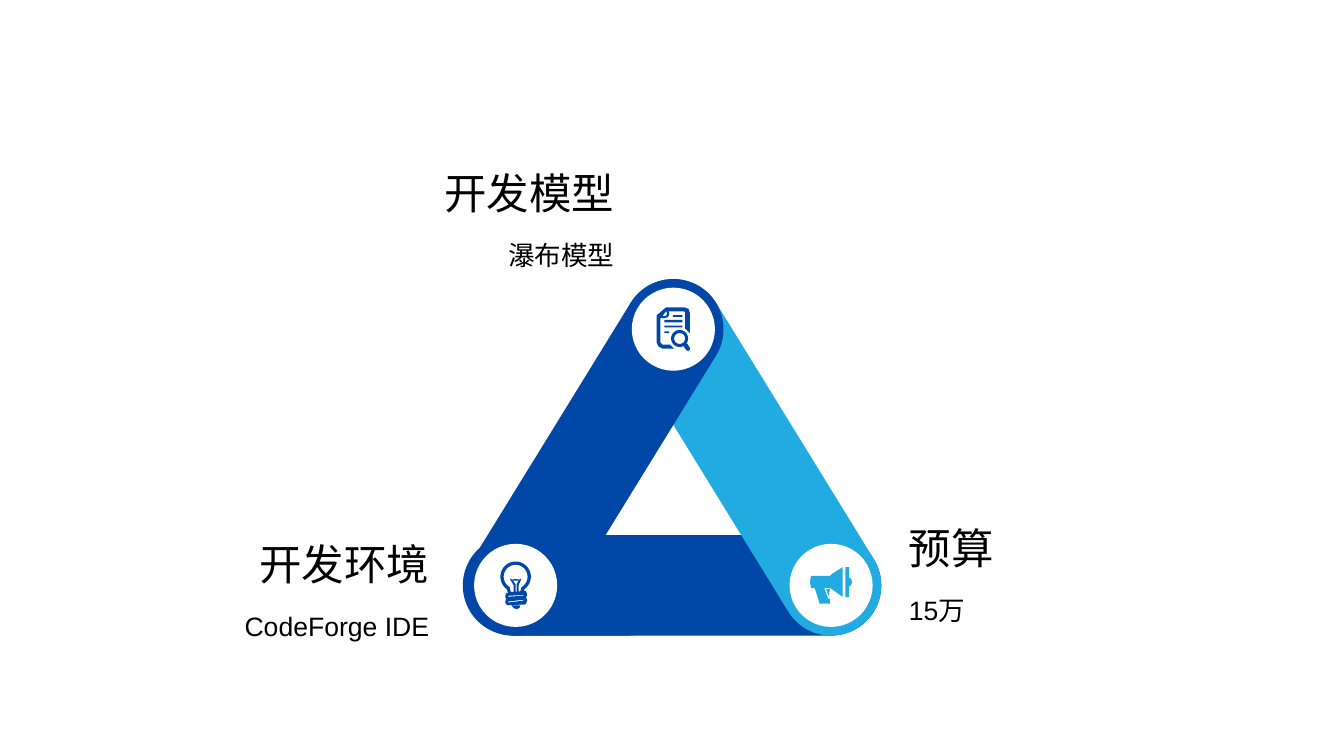
from math import atan2, cos, degrees, hypot, radians, sin

from pptx import Presentation
from pptx.dml.color import RGBColor
from pptx.enum.shapes import MSO_SHAPE as Preset
from pptx.enum.text import PP_ALIGN as Align
from pptx.util import Pt

COLORS = {"navy": "0147A7", "sky": "21ABE1", "white": "FFFFFF", "text": "000000"}
BAR = 75.6
DISC = 62.6


def arc(x, y, radius, start=0, end=350, step=10):
    angles = [radians(angle) for angle in range(start, end + 1, step)]
    return [(x + radius * cos(angle), y + radius * sin(angle)) for angle in angles]


def rectangle(left, top, right, bottom):
    return [(left, top), (right, top), (right, bottom), (left, bottom)]


# Icon outlines in points; inner contours cut holes
DOCUMENT = (25.2, 32.8, [
    [(7, 0), (21, 0), (24, 1), (25, 4), (25, 19.5), (21.5, 16), (21.5, 3.6),
     (20.5, 2.9), (8.6, 2.9), (9.4, 3.6), (9.4, 6), (8, 7.5), (6, 8), (2.9, 8),
     (2.9, 26.6), (4.3, 28), (10, 28), (13, 31), (4.3, 31), (1.5, 29.5),
     (0, 26.6), (0, 6)],
    [(7.2, 2.9), (4.3, 6.5), (6.5, 6.5), (8, 5)],
    rectangle(12.2, 5.8, 19.4, 7.2),
    rectangle(5.8, 9.4, 19.4, 11.2),
    rectangle(5.8, 13.7, 19.4, 15.1),
    rectangle(5.8, 18, 9.4, 19.4),
    arc(17.3, 23.4, 6.4),
    arc(17.3, 23.4, 4.1),
    [(20.2, 29), (22.3, 32.2), (23.8, 32.8), (25.2, 31.7), (25, 30.5), (23, 27.2)],
])
BULB = (23, 36, [
    arc(11.5, 11.5, 11.5, 125, 415)
    + [(18, 22.3), (19.4, 22.3), (20.2, 25), (19.4, 27), (20.2, 29.5),
       (19.4, 31.7), (18.7, 32.4), (5, 33), (4.3, 31.7), (3.6, 31), (4.3, 28),
       (3.6, 26.6), (4.3, 24), (5.8, 23.8)],
    arc(11.5, 11.5, 9, 120, 420)
    + [(15.1, 22.3), (13.7, 23), (13.7, 18), (15.8, 13.3), (15.1, 13),
       (14.4, 13.7), (11.5, 13.2), (8.6, 13.7), (7.9, 13), (7.2, 13.3),
       (10.1, 18), (10.1, 23), (7.9, 23)],
    [(13.7, 14.4), (9.4, 14.4), (11.5, 17.3), (11.5, 23), (12.2, 23), (12.2, 17.3)],
    [(17.3, 25.2), (5.8, 25.9), (5.8, 26.6), (17.3, 25.8)],
    [(17.3, 28.8), (5.8, 30.2), (5.8, 31), (17.3, 29.5)],
    [(8.6, 33.1), (15.1, 33.1), (14.4, 35), (12.2, 36), (9.8, 35)],
])
MEGAPHONE = (31.7, 27.4, [
    [(0.7, 6.5), (15.1, 6.5), (16.6, 5), (24.5, 0), (24.5, 22.3), (16.6, 16.6),
     (15.1, 15.8), (10.8, 15.8), (13.7, 23.8), (15.1, 23.8), (15.1, 27.4),
     (7.2, 27.4), (3.6, 15.8), (0.7, 15.8), (0, 11)],
    [(26.6, 0), (29.5, 0), (29.5, 8), (31, 8.8), (31.7, 11), (31, 13.5),
     (29.5, 14.4), (29.5, 22.3), (26.6, 22.3)],
    [(15.1, 16.6), (12.2, 16.6), (13.7, 20.9), (14.4, 20.9), (14.4, 19.4)],
])


def paint(shape, color):
    shape.shadow.inherit = False
    shape.fill.solid()
    shape.fill.fore_color.rgb = RGBColor.from_string(COLORS[color])
    shape.line.fill.background()


def add_bar(slide, start, end, color):
    """Rounded bar whose round ends are centred on the two points."""
    (x1, y1), (x2, y2) = start, end
    length = hypot(x2 - x1, y2 - y1) + BAR
    shape = slide.shapes.add_shape(
        Preset.ROUNDED_RECTANGLE, Pt((x1 + x2 - length) / 2),
        Pt((y1 + y2 - BAR) / 2), Pt(length), Pt(BAR))
    shape.adjustments[0] = 0.5
    shape.rotation = degrees(atan2(y2 - y1, x2 - x1))
    paint(shape, color)


def add_icon(slide, center, icon, color):
    width, height, contours = icon
    left, top = center[0] - width / 2, center[1] - height / 2
    builder = None
    for contour in contours:
        points = [(Pt(left + x), Pt(top + y)) for x, y in contour]
        if builder is None:
            builder = slide.shapes.build_freeform(*points[0])
        else:
            builder.move_to(*points[0])
        builder.add_line_segments(points[1:], close=True)
    paint(builder.convert_to_shape(), color)


def add_triangle(slide, left, top, width, height):
    """Triangle whose corner centres lie on the given box."""
    peak = (left + width / 2, top)
    left_corner = (left, top + height)
    right_corner = (left + width, top + height)
    # Bars, the last one laid over the lower left joint
    add_bar(slide, left_corner, right_corner, "navy")
    add_bar(slide, peak, right_corner, "sky")
    add_bar(slide, left_corner, peak, "navy")
    add_bar(slide, (left - 2, top + height), (left + 84, top + height), "navy")
    # White discs with icons
    for center, icon, color in [(peak, DOCUMENT, "navy"),
                                (left_corner, BULB, "navy"),
                                (right_corner, MEGAPHONE, "sky")]:
        disc = slide.shapes.add_shape(
            Preset.OVAL, Pt(center[0] - DISC / 2), Pt(center[1] - DISC / 2),
            Pt(DISC), Pt(DISC))
        paint(disc, "white")
        add_icon(slide, center, icon, color)


def add_caption(slide, left, top, width, heading, detail, align):
    for text, size, offset, height in [(heading, 32, 0, 50), (detail, 20, 57, 34)]:
        box = slide.shapes.add_textbox(Pt(left), Pt(top + offset), Pt(width), Pt(height))
        box.text_frame.word_wrap = True
        paragraph = box.text_frame.paragraphs[0]
        paragraph.text = text
        paragraph.alignment = align
        paragraph.line_spacing = 1.2
        paragraph.font.name = "Arial"
        paragraph.font.size = Pt(size)
        paragraph.font.color.rgb = RGBColor.from_string(COLORS["text"])


def main():
    presentation = Presentation()
    presentation.slide_width = Pt(1012.3)
    presentation.slide_height = Pt(569.5)
    slide = presentation.slides.add_slide(presentation.slide_layouts[6])
    add_triangle(slide, 388.4, 248, 237.6, 193)
    # Captions beside the corners
    add_caption(slide, 283.5, 114.5, 186.5, "开发模型", "瀑布模型", Align.RIGHT)
    add_caption(slide, 677.5, 382.3, 186.5, "预算", "15万", Align.LEFT)
    add_caption(slide, 144, 393.8, 186.5, "开发环境", "CodeForge IDE", Align.RIGHT)
    presentation.save("out.pptx")


if __name__ == "__main__":
    main()
